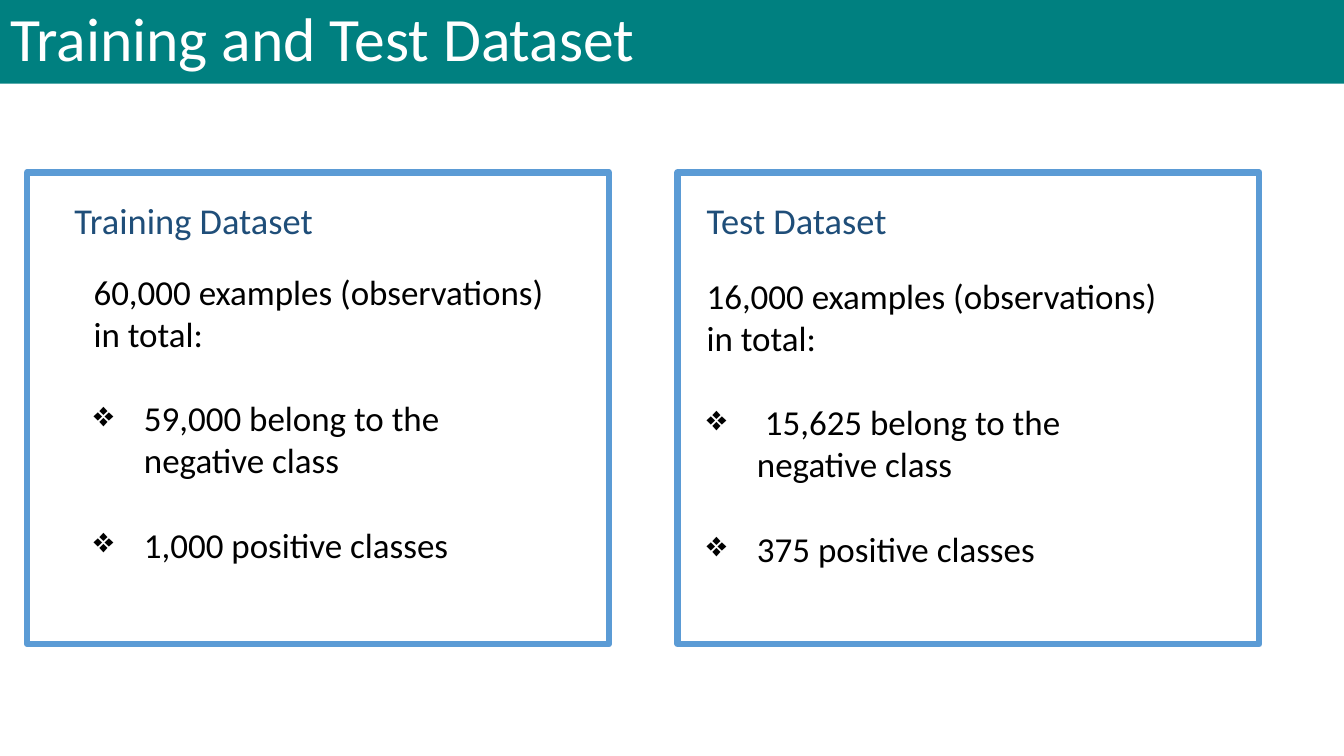
import dataclasses

import lxml.etree
import pptx
import pptx.dml.color
import pptx.enum.shapes
import pptx.enum.text
import pptx.oxml.ns
import pptx.util

Inches = pptx.util.Inches
Pt = pptx.util.Pt

FONT = "Calibri"
BODY_SIZE = 25
BLANK_LINE = Pt(30.5)
PANEL_TOP, PANEL_WIDTH, PANEL_HEIGHT = 1.71, 5.77, 4.68


@dataclasses.dataclass
class Panel:
    left: float
    heading_left: float
    body_left: float
    body_top: float
    heading: str
    total: str
    classes: list[str]


PANELS = [
    Panel(0.27, 0.64, 0.83, 2.63, "Training Dataset",
          "60,000 examples (observations) in total:",
          ["59,000 belong to the negative class", "1,000 positive classes"]),
    Panel(6.72, 6.91, 6.91, 2.67, "Test Dataset",
          "16,000 examples (observations) in total:",
          [" 15,625 belong to the negative class", "375 positive classes"]),
]


def color(value: str) -> pptx.dml.color.RGBColor:
    return pptx.dml.color.RGBColor.from_string(value)


def fill(shape, value: str) -> None:
    shape.fill.solid()
    shape.fill.fore_color.rgb = color(value)


def format_runs(para, size: float, value: str) -> None:
    for span in para.runs:
        span.font.name = FONT
        span.font.size = Pt(size)
        span.font.color.rgb = color(value)


def add_bullet(para) -> None:
    properties = para._p.get_or_add_pPr()
    properties.set("marL", str(Inches(0.5)))
    properties.set("indent", str(Inches(-0.5)))
    bullet = lxml.etree.SubElement(properties, pptx.oxml.ns.qn("a:buChar"))
    bullet.set("char", "❖")


def add_text_box(page, left: float, top: float, width: float, height: float):
    box = page.shapes.add_textbox(Inches(left), Inches(top), Inches(width), Inches(height))
    box.text_frame.word_wrap = True
    return box.text_frame


def add_title(page, text: str) -> None:
    title = page.shapes.title
    title.left, title.top = Inches(0), Inches(0)
    title.width, title.height = Inches(13.33), Inches(0.83)
    fill(title, "008080")
    frame = title.text_frame
    frame.text = text
    frame.auto_size = pptx.enum.text.MSO_AUTO_SIZE.NONE
    frame.vertical_anchor = pptx.enum.text.MSO_ANCHOR.MIDDLE
    para = frame.paragraphs[0]
    para.alignment = pptx.enum.text.PP_ALIGN.LEFT
    para.line_spacing = 0.9
    format_runs(para, 44, "FFFFFF")


def add_frame(page, panel: Panel) -> None:
    frame = page.shapes.add_shape(
        pptx.enum.shapes.MSO_SHAPE.RECTANGLE, Inches(panel.left), Inches(PANEL_TOP),
        Inches(PANEL_WIDTH), Inches(PANEL_HEIGHT))
    frame.shadow.inherit = False
    fill(frame, "FFFFFF")
    frame.line.color.rgb = color("5B9BD5")
    frame.line.width = Pt(4.5)


def add_panel_text(page, panel: Panel) -> None:
    heading = add_text_box(page, panel.heading_left, 1.92, 4.42, 0.54)
    heading.text = panel.heading
    format_runs(heading.paragraphs[0], 26, "1F4E79")

    body = add_text_box(page, panel.body_left, panel.body_top, 4.66, 3.05)
    body.text = panel.total
    for text in panel.classes:
        para = body.add_paragraph()
        para.text = text
        para.space_before = BLANK_LINE
        add_bullet(para)
    for para in body.paragraphs:
        format_runs(para, BODY_SIZE, "000000")


def main() -> None:
    deck = pptx.Presentation()
    deck.slide_width, deck.slide_height = Inches(13.33), Inches(7.5)
    page = deck.slides.add_slide(deck.slide_layouts[5])

    # Title band
    add_title(page, "Training and Test Dataset")

    # Dataset panels
    for panel in PANELS:
        add_frame(page, panel)
        add_panel_text(page, panel)

    deck.save("out.pptx")


if __name__ == "__main__":
    main()
